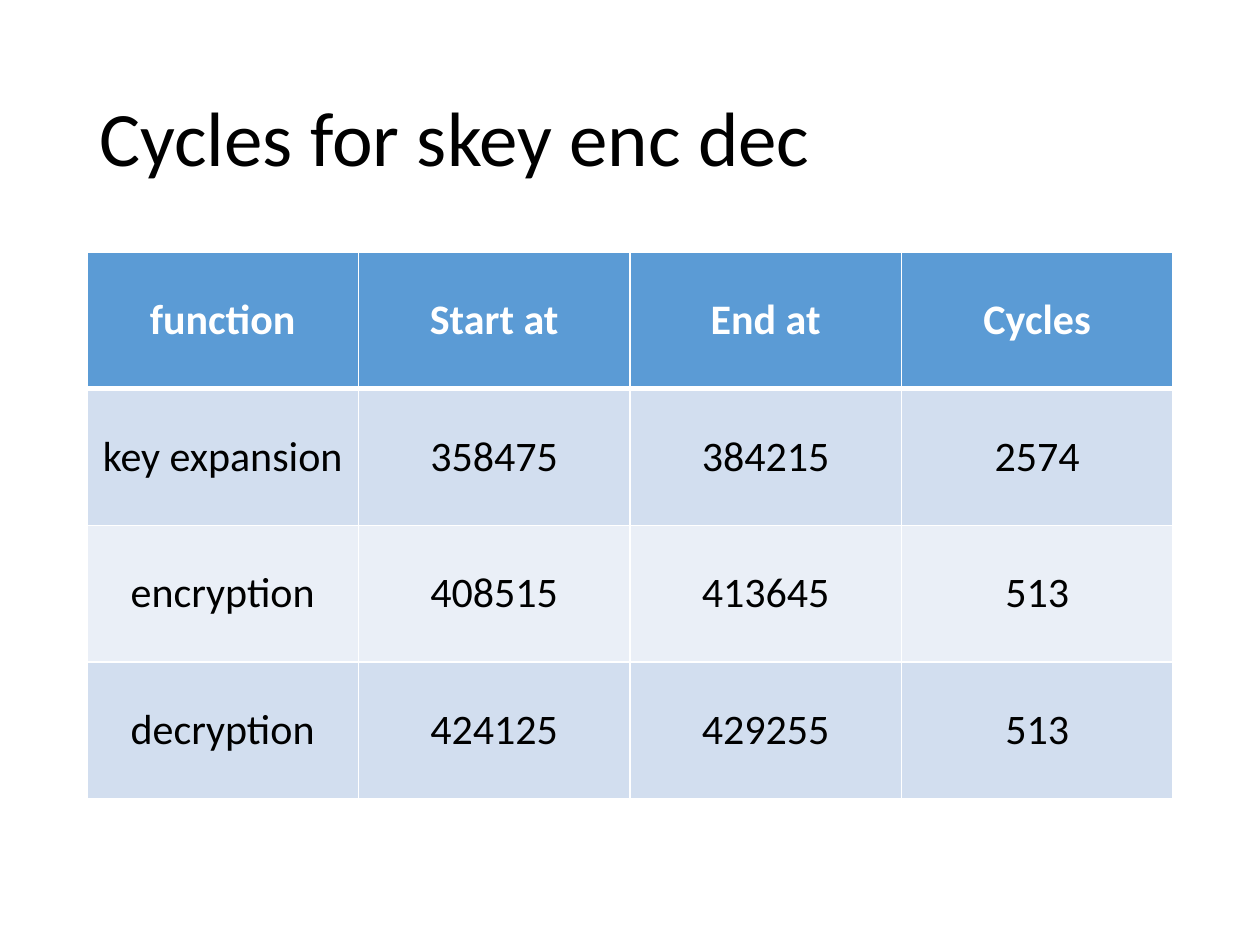
from lxml.etree import SubElement
from pptx import Presentation
from pptx.dml.color import RGBColor
from pptx.enum.text import MSO_ANCHOR as Anchor, PP_ALIGN as Align
from pptx.oxml.ns import qn
from pptx.util import Inches, Pt

TITLE = "Cycles for skey enc dec"
MEASUREMENTS = [
    ("function", "Start at", "End at", "Cycles"),
    ("key expansion", "358475", "384215", "2574"),
    ("encryption", "408515", "413645", "513"),
    ("decryption", "424125", "429255", "513"),
]

BLACK = RGBColor(0x00, 0x00, 0x00)
WHITE = RGBColor(0xFF, 0xFF, 0xFF)
HEADER_BLUE = RGBColor(0x5B, 0x9B, 0xD5)
BANDS = (RGBColor(0xEA, 0xEF, 0xF7), RGBColor(0xD2, 0xDE, 0xEF))

TITLE_FONT = {"name": "Calibri", "size": Pt(44), "bold": False}
HEADER_FONT = {"name": "Calibri", "size": Pt(24), "bold": True}
BODY_FONT = {**HEADER_FONT, "bold": False}
TITLE_BOX = {"left": 0.69, "top": 0.4, "width": 8.63, "height": 1.45}
TABLE_BOX = {"left": 0.69, "top": 2, "width": 8.62, "height": 4.34}


def format_font(font, values, color):
    """Apply the format values and the colour to a font."""
    for key, value in values.items():
        setattr(font, key, value)
    font.color.rgb = color


def add_borders(cell, widths):
    """Draw a white line on each side, with widths in points."""
    properties = cell._tc.get_or_add_tcPr()
    for side, width in widths.items():
        line = SubElement(properties, qn(f"a:ln{side}"), w=str(Pt(width)))
        fill = SubElement(line, qn("a:solidFill"))
        SubElement(fill, qn("a:srgbClr"), val=str(WHITE))


def add_title(slide):
    """Place and format the slide title."""
    title = slide.shapes.title
    for key, value in TITLE_BOX.items():
        setattr(title, key, Inches(value))
    frame = title.text_frame
    frame.text = TITLE
    frame.vertical_anchor = Anchor.MIDDLE
    paragraph = frame.paragraphs[0]
    paragraph.alignment = Align.LEFT
    paragraph.line_spacing = 0.9
    format_font(paragraph.runs[0].font, TITLE_FONT, BLACK)


def add_measurements(slide):
    """Add the table of cycle counts with a header and banded rows."""
    box = {key: Inches(value) for key, value in TABLE_BOX.items()}
    table = slide.shapes.add_table(len(MEASUREMENTS), len(MEASUREMENTS[0]), **box).table
    for row, entries in enumerate(MEASUREMENTS):
        header = row == 0
        widths = {"L": 1, "R": 1, "T": 3 if row == 1 else 1, "B": 3 if header else 1}
        for column, entry in enumerate(entries):
            cell = table.cell(row, column)
            cell.text = entry
            cell.vertical_anchor = Anchor.MIDDLE
            add_borders(cell, widths)
            cell.fill.solid()
            cell.fill.fore_color.rgb = HEADER_BLUE if header else BANDS[row % 2]
            paragraph = cell.text_frame.paragraphs[0]
            paragraph.alignment = Align.CENTER
            format_font(paragraph.runs[0].font, HEADER_FONT if header else BODY_FONT,
                        WHITE if header else BLACK)


def main():
    """Build the slide and save it."""
    deck = Presentation()
    deck.slide_width, deck.slide_height = Inches(10), Inches(7.5)
    slide = deck.slides.add_slide(deck.slide_layouts[5])
    add_title(slide)
    add_measurements(slide)
    deck.save("out.pptx")


if __name__ == "__main__":
    main()
